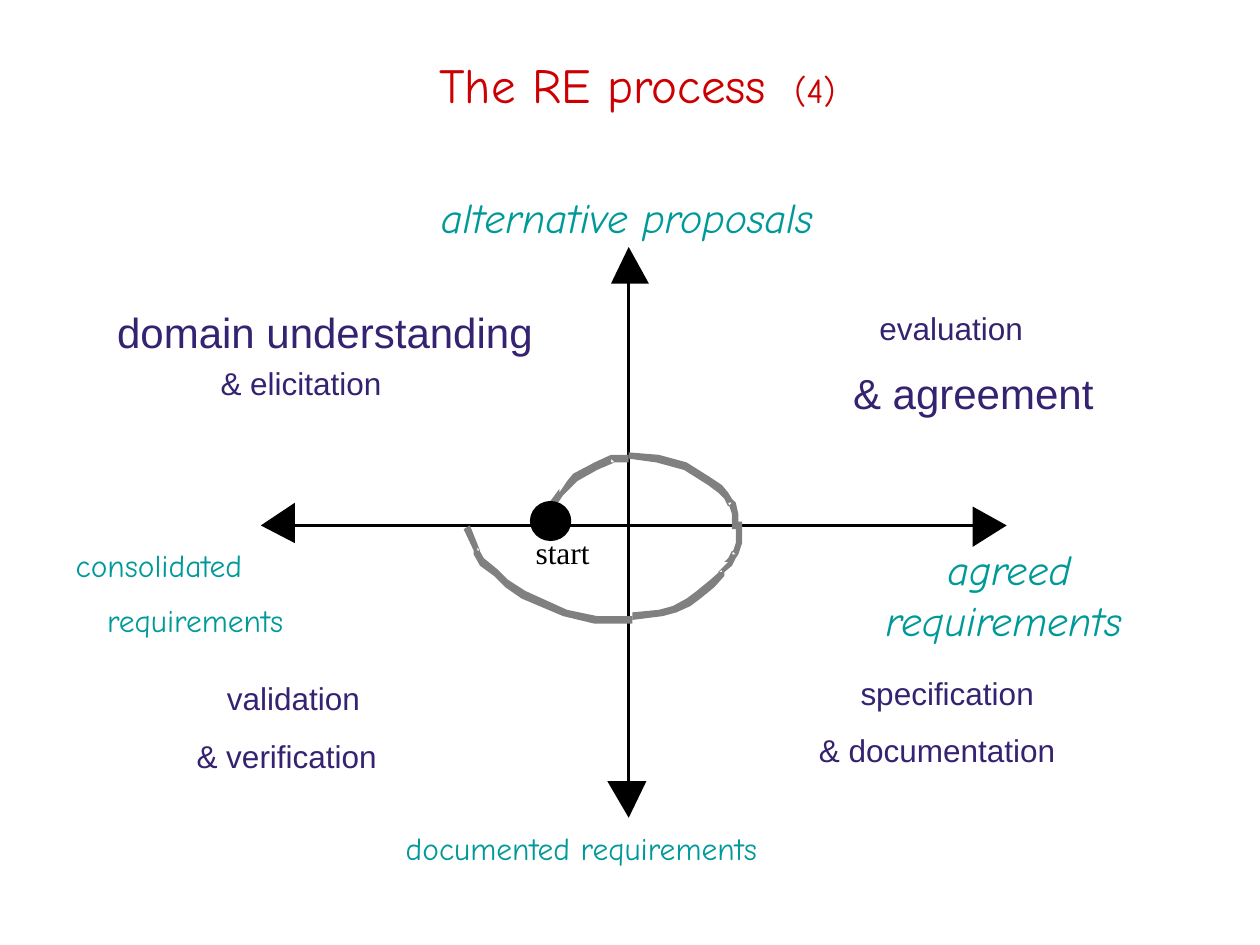
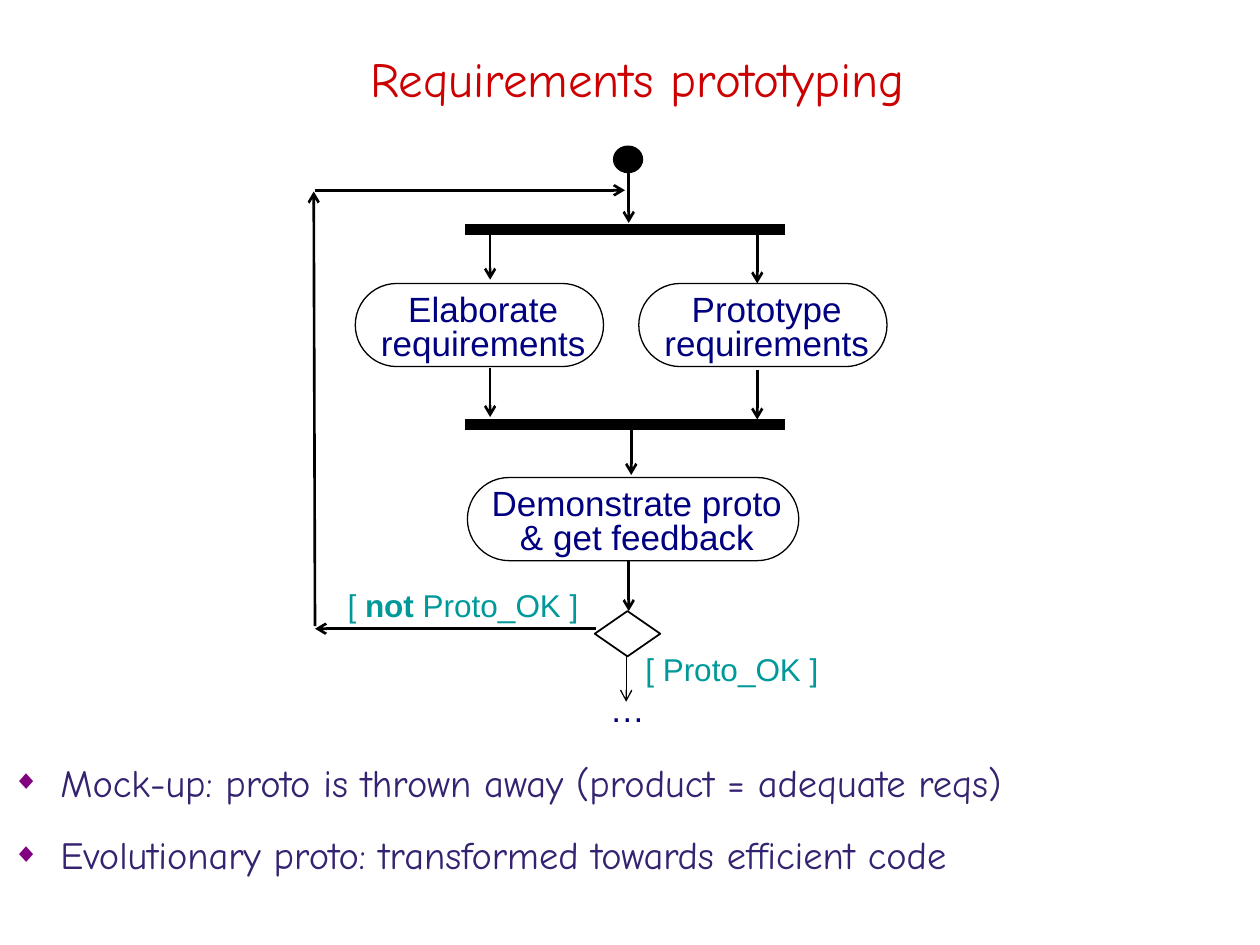
from lxml.etree import SubElement
from pptx import Presentation
from pptx.dml.color import RGBColor
from pptx.enum.shapes import MSO_CONNECTOR, MSO_SHAPE
from pptx.enum.text import MSO_ANCHOR, MSO_AUTO_SIZE, PP_ALIGN
from pptx.oxml.ns import qn
from pptx.util import Inches, Pt

RED = RGBColor(0xCC, 0x00, 0x00)
TEAL = RGBColor(0x00, 0x99, 0x99)
INDIGO = RGBColor(0x35, 0x22, 0x70)
NAVY = RGBColor(0x00, 0x00, 0x80)
PURPLE = RGBColor(0x80, 0x00, 0x80)
GREY = RGBColor(0x80, 0x80, 0x80)
BLACK = RGBColor(0x00, 0x00, 0x00)
WHITE = RGBColor(0xFF, 0xFF, 0xFF)
HAND, SANS, SERIF = "Comic Neue", "Arial", "Times New Roman"

SPIRAL_ARCS = [
    [(373, 417), (368, 420), (376, 437), (376, 440), (381, 449), (392, 457), (401, 466),
     (414, 475), (447, 489), (472, 495), (502, 495), (502, 489), (474, 489), (450, 484),
     (417, 469), (403, 460), (395, 452), (384, 443), (379, 434), (379, 437), (381, 437)],
    [(431, 414), (436, 417), (441, 402), (439, 402), (439, 405), (447, 393), (452, 388),
     (458, 382), (474, 373), (488, 367), (485, 364), (485, 367), (499, 367), (499, 361),
     (485, 361), (472, 367), (455, 376), (450, 382), (444, 391), (444, 388), (436, 399),
     (436, 402)],
    [(499, 359), (499, 364), (521, 367), (543, 373), (562, 385), (570, 391), (575, 396),
     (578, 402), (581, 399), (578, 399), (581, 408), (581, 420), (586, 420), (586, 408),
     (584, 399), (581, 396), (578, 391), (573, 385), (564, 379), (545, 367), (523, 361)],
    [(502, 486), (502, 492), (526, 489), (537, 486), (548, 481), (556, 475), (567, 466),
     (575, 457), (575, 454), (581, 449), (578, 446), (581, 449), (584, 443), (586, 440),
     (589, 431), (589, 414), (584, 414), (584, 431), (581, 440), (584, 440), (581, 437),
     (578, 443), (575, 446), (578, 446), (570, 454), (573, 454), (573, 452), (564, 460),
     (553, 469), (545, 475), (534, 481), (523, 484)],
]


class Deck:
    def __init__(self):
        self.presentation = Presentation()
        self.presentation.slide_width = Inches(10)
        self.presentation.slide_height = Inches(7.5)
        self.slide = None

    def new_slide(self, layout, title_top, *title_runs):
        self.slide = self.presentation.slides.add_slide(self.presentation.slide_layouts[layout])
        title = self.slide.shapes.title
        self.place(title, 0.33, title_top, 9.46, 0.83)
        title.text_frame.vertical_anchor = MSO_ANCHOR.MIDDLE
        paragraph = title.text_frame.paragraphs[0]
        paragraph.alignment = PP_ALIGN.CENTER
        for words, size in title_runs:
            self.run(paragraph, words, size, HAND, RED)

    def place(self, shape, left, top, width, height):
        shape.left, shape.top = Inches(left), Inches(top)
        shape.width, shape.height = Inches(width), Inches(height)

    def run(self, paragraph, words, size, font, color, bold=None, italic=None):
        run = paragraph.add_run()
        run.text = words
        run.font.size = Pt(size)
        run.font.name = font
        run.font.color.rgb = color
        run.font.bold, run.font.italic = bold, italic

    def label(self, words, left, top, width, size, font, color, italic=None):
        box = self.slide.shapes.add_textbox(Inches(left), Inches(top), Inches(width), Inches(0.4))
        frame = box.text_frame
        frame.margin_left = frame.margin_right = frame.margin_top = frame.margin_bottom = 0
        frame.word_wrap = False
        frame.auto_size = MSO_AUTO_SIZE.SHAPE_TO_FIT_TEXT
        self.run(frame.paragraphs[0], words, size, font, color, italic=italic)

    def centred(self, lines, left, top, width, height, size, color):
        box = self.slide.shapes.add_textbox(Inches(left), Inches(top), Inches(width), Inches(height))
        frame = box.text_frame
        frame.word_wrap = True
        frame.margin_left = frame.margin_right = Inches(0.02)
        frame.margin_top = frame.margin_bottom = Inches(0.01)
        for index, runs in enumerate(lines):
            paragraph = frame.add_paragraph() if index else frame.paragraphs[0]
            paragraph.alignment = PP_ALIGN.CENTER
            if index:
                paragraph.line_spacing = 0.8
            for words, bold in runs:
                self.run(paragraph, words, size, SANS, color, bold=bold)

    def bullets(self, items, left, top, width, height):
        body = self.slide.placeholders[1]
        self.place(body, left, top, width, height)
        frame = body.text_frame
        frame.auto_size = MSO_AUTO_SIZE.NONE
        frame.vertical_anchor = MSO_ANCHOR.MIDDLE
        for index, (words, spacing) in enumerate(items):
            paragraph = frame.add_paragraph() if index else frame.paragraphs[0]
            paragraph.line_spacing = spacing
            paragraph.space_before = Pt(10)
            properties = paragraph._p.get_or_add_pPr()
            properties.set("marL", str(Inches(0.38)))
            properties.set("indent", str(Inches(-0.38)))
            bullet_color = SubElement(properties, qn("a:buClr"))
            SubElement(bullet_color, qn("a:srgbClr"), val=str(PURPLE))
            SubElement(properties, qn("a:buSzPct"), val="70000")
            SubElement(properties, qn("a:buChar"), char="◆")
            self.run(paragraph, words, 22, HAND, INDIGO)

    def shape(self, kind, left, top, width, height, fill, line_width):
        shape = self.slide.shapes.add_shape(
            kind, Inches(left), Inches(top), Inches(width), Inches(height))
        shape.shadow.inherit = False
        shape.fill.solid()
        shape.fill.fore_color.rgb = fill
        shape.line.color.rgb = BLACK
        shape.line.width = Pt(line_width)
        return shape

    def activity(self, lines, left, top, width):
        pill = self.shape(MSO_SHAPE.ROUNDED_RECTANGLE, left, top, width, 0.66, WHITE, 0.75)
        pill.adjustments[0] = 0.5
        self.centred([[(line, None)] for line in lines],
                     left + 0.12, top + 0.02, width - 0.18, 0.62, 20, NAVY)

    def outline(self, hundredths, fill):
        builder = self.slide.shapes.build_freeform(*hundredths[0], scale=Inches(0.01))
        builder.add_line_segments(hundredths[1:], close=True)
        outline = builder.convert_to_shape()
        outline.shadow.inherit = False
        outline.fill.solid()
        outline.fill.fore_color.rgb = fill
        outline.line.fill.background()

    def line(self, x1, y1, x2, y2, width, arrow=False):
        line = self.slide.shapes.add_connector(
            MSO_CONNECTOR.STRAIGHT, Inches(x1), Inches(y1), Inches(x2), Inches(y2))
        line.line.color.rgb = BLACK
        line.line.width = Pt(width)
        if arrow:
            SubElement(line.line._get_or_add_ln(), qn("a:tailEnd"), type="arrow")
        SubElement(line._element.spPr, qn("a:effectLst"))


def build_process(deck):
    deck.new_slide(5, 0.25, ("The RE process ", 28), (" (4)", 20))

    deck.line(4.99, 2.19, 4.99, 6.26, 2)
    deck.line(7.78, 4.17, 2.28, 4.17, 2)
    for axis_tip in (
        [(515, 225), (499, 196), (485, 225)],
        [(482, 620), (499, 649), (513, 620)],
        [(772, 434), (799, 417), (772, 402)],
        [(234, 399), (207, 417), (234, 431)],
    ):
        deck.outline(axis_tip, BLACK)

    deck.label("start", 4.25, 4.23, 0.61, 18, SERIF, BLACK)
    for arc in SPIRAL_ARCS:
        deck.outline(arc, GREY)

    for activity, left, top, width, size in (
        ("domain understanding", 0.93, 2.43, 3.3, 24),
        ("& elicitation", 1.75, 2.89, 1.71, 18),
        ("evaluation", 6.98, 2.45, 1.52, 18),
        ("& agreement", 6.77, 2.92, 1.91, 24),
        ("specification", 6.83, 5.35, 1.84, 18),
        ("& documentation", 6.5, 5.8, 2.5, 18),
        ("validation", 1.8, 5.39, 1.41, 18),
        ("& verification", 1.56, 5.85, 1.91, 18),
    ):
        deck.label(activity, left, top, width, size, SANS, INDIGO)

    for product, left, top, width, size, italic in (
        ("alternative proposals", 3.5, 1.52, 3.26, 24, True),
        ("agreed", 7.52, 4.31, 1.07, 24, True),
        ("requirements", 7.03, 4.72, 2.06, 24, True),
        ("documented requirements", 3.22, 6.58, 4.03, 18, None),
        ("consolidated", 0.6, 4.33, 2.49, 18, None),
        ("requirements", 0.85, 4.77, 2.06, 18, None),
    ):
        deck.label(product, left, top, width, size, HAND, TEAL, italic)

    deck.shape(MSO_SHAPE.OVAL, 4.22, 3.99, 0.3, 0.29, BLACK, 2)


def build_prototyping(deck):
    deck.new_slide(1, 0.2, ("Requirements prototyping", 28))
    deck.bullets([
        ("Mock-up: proto is thrown away (product = adequate reqs)", 1.1),
        ("Evolutionary proto: transformed towards efficient code", 1.2),
    ], 0, 5.96, 9.81, 1.03)

    deck.activity(["Elaborate", "requirements"], 2.82, 2.25, 1.97)
    deck.activity(["Prototype", "requirements"], 5.07, 2.25, 1.97)
    deck.activity(["Demonstrate proto", "& get feedback"], 3.71, 3.79, 2.63)
    deck.shape(MSO_SHAPE.OVAL, 4.87, 1.16, 0.23, 0.21, BLACK, 0.75)
    deck.shape(MSO_SHAPE.FLOWCHART_DECISION, 4.72, 4.85, 0.52, 0.36, WHITE, 1)

    for bar_y in (1.82, 3.37):
        deck.line(3.69, bar_y, 6.23, bar_y, 6)
    for x, top, bottom, width in (
        (4.99, 1.27, 1.77, 1.5),
        (3.89, 1.82, 2.22, 1.5),
        (6.01, 1.85, 2.25, 1.5),
        (3.89, 2.92, 3.31, 1.5),
        (6.01, 2.94, 3.33, 1.5),
        (5.01, 3.37, 3.77, 1.5),
        (4.99, 4.45, 4.85, 1.5),
        (4.97, 5.21, 5.57, 0.75),
    ):
        deck.line(x, top, x, bottom, width, arrow=True)
    for loop_leg in (
        (4.73, 4.99, 2.5, 4.99),
        (2.5, 4.97, 2.49, 1.52),
        (2.5, 1.51, 4.96, 1.51),
    ):
        deck.line(*loop_leg, 1.5, arrow=True)

    deck.centred([[("[ Proto_OK ]", None)]], 4.91, 5.15, 1.8, 0.44, 18, TEAL)
    deck.centred([[("[ ", None), ("not", True), (" Proto_OK ]", None)]],
                 2.6, 4.64, 2.15, 0.44, 18, TEAL)
    deck.centred([[("…", None)]], 4.45, 5.45, 1.06, 0.37, 20, NAVY)


def main():
    deck = Deck()
    build_process(deck)
    build_prototyping(deck)
    deck.presentation.save("out.pptx")


if __name__ == "__main__":
    main()
